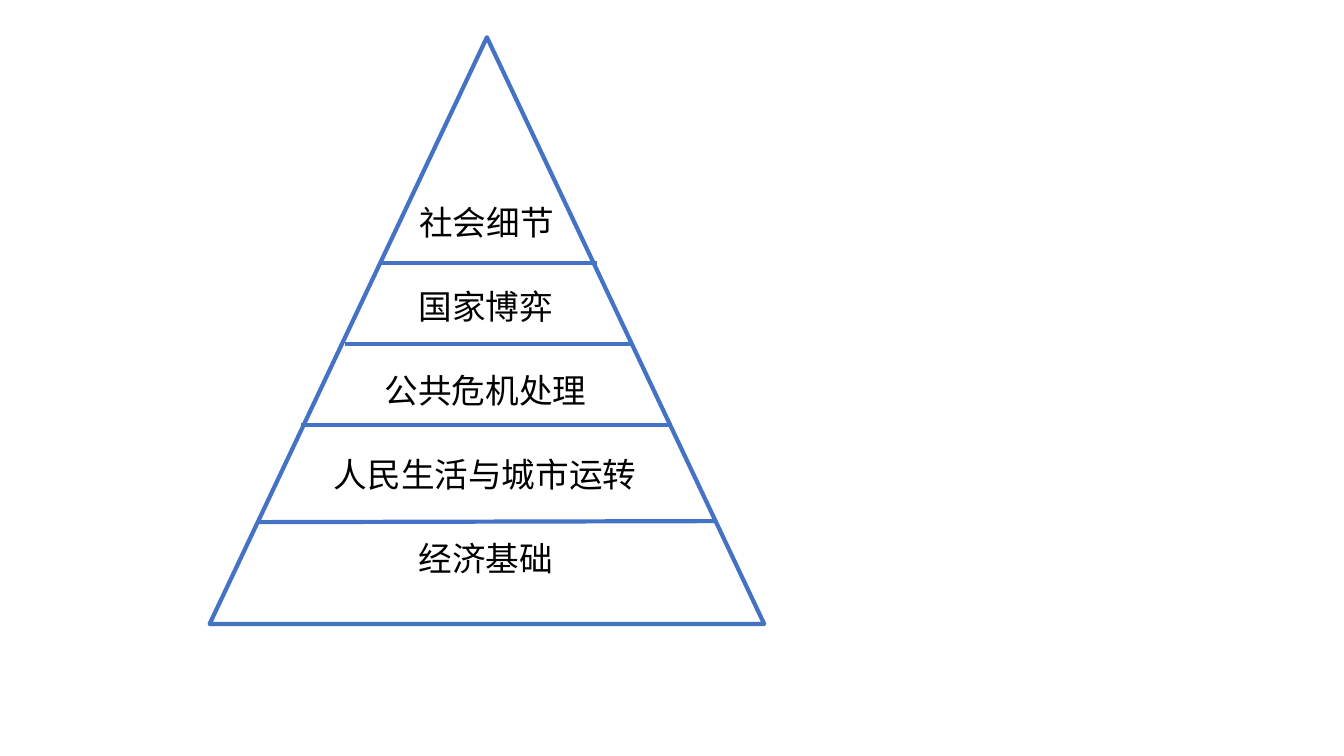
from dataclasses import dataclass

from lxml import etree
from pptx import Presentation
from pptx.dml.color import RGBColor
from pptx.enum.shapes import MSO_CONNECTOR, MSO_SHAPE
from pptx.enum.text import MSO_ANCHOR, MSO_AUTO_SIZE, PP_ALIGN
from pptx.oxml.ns import qn
from pptx.util import Inches, Pt

STRAIGHT = MSO_CONNECTOR.STRAIGHT
TRIANGLE = MSO_SHAPE.ISOSCELES_TRIANGLE
MIDDLE = MSO_ANCHOR.MIDDLE
FIT_SHAPE = MSO_AUTO_SIZE.SHAPE_TO_FIT_TEXT
CENTER, JUSTIFY = PP_ALIGN.CENTER, PP_ALIGN.JUSTIFY


@dataclass(frozen=True)
class Theme:
    """Colours, font and sizes of the slide."""
    outline: RGBColor = RGBColor(0x44, 0x72, 0xC4)
    surface: RGBColor = RGBColor(0xFF, 0xFF, 0xFF)
    ink: RGBColor = RGBColor(0, 0, 0)
    font: str = "Noto Sans CJK SC"
    label_size: Pt = Pt(24)
    line_width: Pt = Pt(3)


def apply_format(target, values):
    """Set each named attribute on the target."""
    for name, value in values.items():
        setattr(target, name, value)


class Canvas:
    """Draws on one slide; lengths are percentages of its size."""

    def __init__(self, deck, theme):
        """Add a blank slide to the deck."""
        self.deck, self.theme = deck, theme
        self.page = deck.slides.add_slide(deck.slide_layouts[6])
        self.group = self.page.shapes.add_group_shape()

    def place(self, *lengths):
        """Turn alternating x and y percentages into slide lengths."""
        sides = (self.deck.slide_width, self.deck.slide_height) * 2
        return [round(side * share / 100) for side, share in zip(sides, lengths)]

    def stroke(self, line):
        """Give a line the theme's outline style."""
        line.color.rgb = self.theme.outline
        line.width = self.theme.line_width

    def triangle(self, left, top, width, height):
        """Add the outlined triangle."""
        shape = self.group.shapes.add_shape(
            TRIANGLE, *self.place(left, top, width, height))
        shape.shadow.inherit = False
        shape.fill.solid()
        shape.fill.fore_color.rgb = self.theme.surface
        self.stroke(shape.line)

    def label(self, text, left, top, width, height, alignment):
        """Add a one-line text label."""
        box = self.group.shapes.add_textbox(*self.place(left, top, width, height))
        apply_format(box.text_frame, {
            "word_wrap": False, "auto_size": FIT_SHAPE, "vertical_anchor": MIDDLE})
        para = box.text_frame.paragraphs[0]
        para.alignment = alignment
        span = para.add_run()
        span.text = text
        apply_format(span.font, {
            "name": self.theme.font, "size": self.theme.label_size})
        span.font.color.rgb = self.theme.ink
        east_asian = etree.SubElement(span.font._element, qn("a:ea"))
        east_asian.set("typeface", self.theme.font)

    def divider(self, start_x, start_y, end_x, end_y):
        """Add a straight line between two levels."""
        line = self.page.shapes.add_connector(
            STRAIGHT, *self.place(start_x, start_y, end_x, end_y))
        self.stroke(line.line)
        etree.SubElement(line._element.spPr, qn("a:effectLst"))


LEVELS = ["社会细节", "国家博弈", "公共危机处理", "人民生活与城市运转", "经济基础"]
LABEL_CENTER, FIRST_TOP, LABEL_STEP, LABEL_HEIGHT = 36.2, 26, 11.11, 6.67
CHARACTER_WIDTH, LABEL_PADDING = 2.52, 1.5
DIVIDERS = [
    (28.28, 34.8, 44.4, 34.8),
    (25.65, 45.47, 47.03, 45.47),
    (22.43, 56.27, 50.03, 56.27),
    (19.2, 69.07, 53.25, 68.93),
]


def build():
    """Build and save the pyramid slide."""
    deck = Presentation()
    apply_format(deck, {"slide_width": Inches(13.33), "slide_height": Inches(7.5)})
    canvas = Canvas(deck, Theme())
    canvas.triangle(15.6, 4.93, 41.26, 77.6)
    for row, text in enumerate(LEVELS):
        width = len(text) * CHARACTER_WIDTH + LABEL_PADDING
        canvas.label(text, LABEL_CENTER - width / 2, FIRST_TOP + row * LABEL_STEP,
                     width, LABEL_HEIGHT, JUSTIFY if row else CENTER)
    for ends in DIVIDERS:
        canvas.divider(*ends)
    deck.save("out.pptx")


build()
